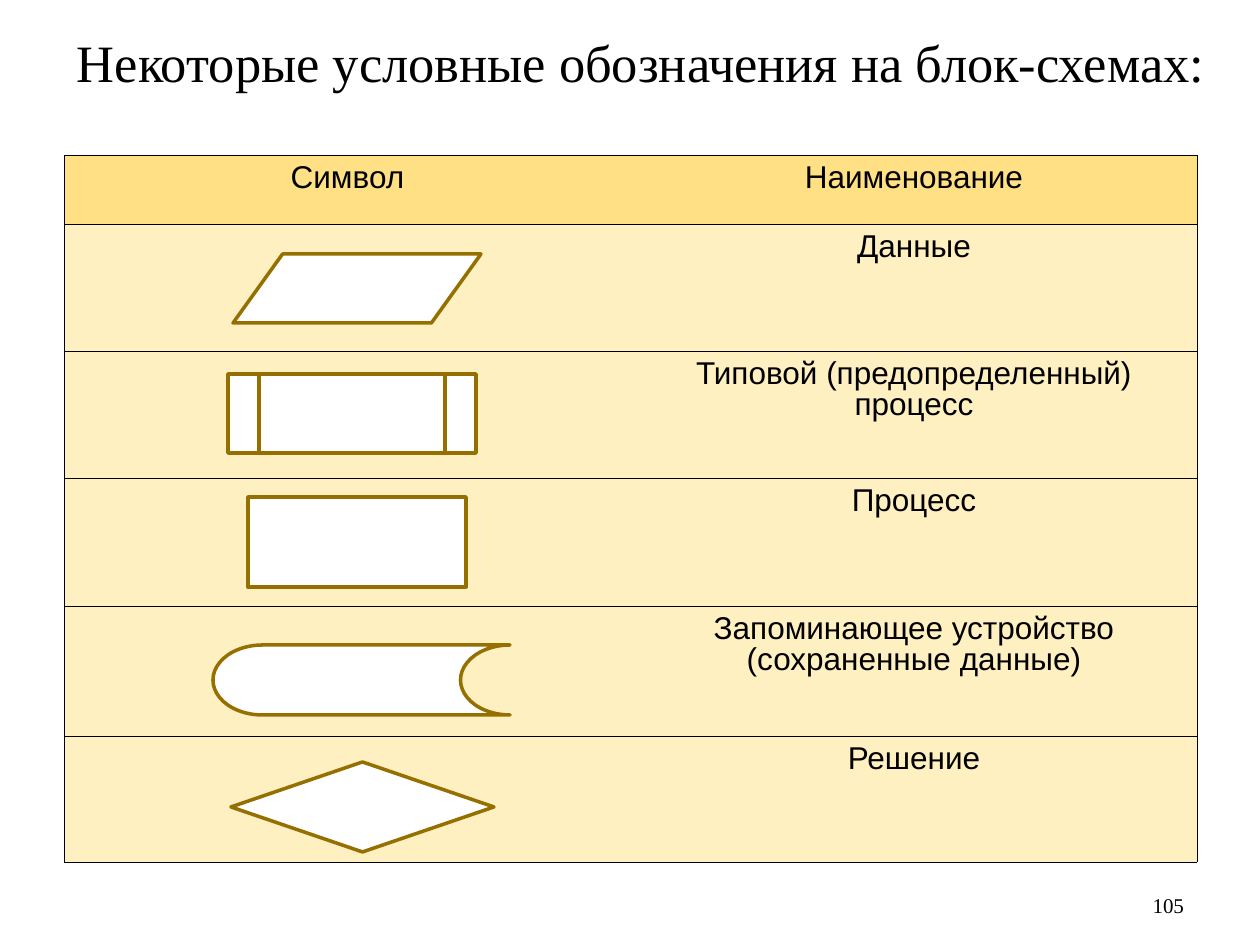
from dataclasses import dataclass
from itertools import accumulate

from lxml.etree import SubElement
from pptx import Presentation
from pptx.dml.color import RGBColor
from pptx.enum.shapes import MSO_SHAPE
from pptx.enum.text import MSO_ANCHOR, PP_ALIGN
from pptx.oxml.ns import qn
from pptx.util import Pt

SCALE = 914400 / 126


@dataclass(frozen=True)
class Theme:
    ink: str = "000000"
    paper: str = "FFFFFF"
    header: str = "FFE085"
    body: str = "FFF0C2"
    outline: str = "956F00"
    serif: str = "Times New Roman"
    sans: str = "Arial"
    title_size: int = 30
    table_size: int = 18
    number_size: int = 12
    outline_width: int = 2
    border_width: float = 0.17


THEME = Theme()
INSETS = {"margin_left": 13, "margin_right": 13, "margin_top": 6, "margin_bottom": 6}
COLUMNS = (567, 566)
ROWS = (
    (69, "Наименование", None, None),
    (127, "Данные", MSO_SHAPE.FLOWCHART_DATA, (169, 30, 248, 69)),
    (127, "Типовой (предопределенный) процесс",
     MSO_SHAPE.FLOWCHART_PREDEFINED_PROCESS, (164, 23, 248, 79)),
    (128, "Процесс", MSO_SHAPE.FLOWCHART_PROCESS, (184, 19, 218, 90)),
    (130, "Запоминающее устройство (сохраненные данные)",
     MSO_SHAPE.FLOWCHART_STORED_DATA, (149, 39, 297, 70)),
    (126, "Решение", MSO_SHAPE.FLOWCHART_DECISION, (167, 26, 263, 90)),
)


def px(length):
    return round(length * SCALE)


def apply(target, values):
    for name, value in values.items():
        setattr(target, name, value)


def set_insets(target, insets):
    apply(target, {name: px(length) for name, length in insets.items()})


def write(frame, text, font, size, align, spacing=1.0):
    para = frame.paragraphs[0]
    apply(para, {"alignment": align, "line_spacing": spacing})
    span = para.add_run()
    span.text = text
    apply(span.font, {"name": font, "size": Pt(size), "bold": False})
    span.font.color.rgb = RGBColor.from_string(THEME.ink)


def place_title(page, box, text):
    title = page.shapes.title
    apply(title, dict(zip(("left", "top", "width", "height"), map(px, box))))
    frame = title.text_frame
    apply(frame, {"word_wrap": True, "vertical_anchor": MSO_ANCHOR.TOP})
    set_insets(frame, INSETS)
    write(frame, text, THEME.serif, THEME.title_size, PP_ALIGN.LEFT)


def place_number(page, box, text):
    frame = page.shapes.add_textbox(*map(px, box)).text_frame
    apply(frame, {"word_wrap": True, "vertical_anchor": MSO_ANCHOR.BOTTOM})
    set_insets(frame, INSETS)
    write(frame, text, THEME.serif, THEME.number_size, PP_ALIGN.RIGHT)


def set_borders(cell, visible):
    properties = cell._tc.get_or_add_tcPr()
    for side in "LRTB":
        line = SubElement(properties, qn(f"a:ln{side}"), w=str(Pt(THEME.border_width)))
        if side in visible:
            fill = SubElement(line, qn("a:solidFill"))
            SubElement(fill, qn("a:srgbClr"), val=THEME.ink)
        else:
            SubElement(line, qn("a:noFill"))


def format_cell(cell, text, color, visible):
    set_borders(cell, visible)
    cell.fill.solid()
    cell.fill.fore_color.rgb = RGBColor.from_string(color)
    set_insets(cell, {**INSETS, "margin_top": 9})
    if text:
        write(cell.text_frame, text, THEME.sans, THEME.table_size, PP_ALIGN.CENTER, 0.87)


def place_symbol(page, box, kind):
    symbol = page.shapes.add_shape(kind, *map(px, box))
    symbol.shadow.inherit = False
    symbol.fill.solid()
    symbol.fill.fore_color.rgb = RGBColor.from_string(THEME.paper)
    symbol.line.color.rgb = RGBColor.from_string(THEME.outline)
    symbol.line.width = Pt(THEME.outline_width)


def place_symbol_table(page, left, top):
    heights = [row[0] for row in ROWS]
    box = (left, top, sum(COLUMNS), sum(heights))
    table = page.shapes.add_table(len(ROWS), len(COLUMNS), *map(px, box)).table
    apply(table, {"first_row": False, "horz_banding": False})
    for column, width in zip(table.columns, COLUMNS):
        column.width = px(width)
    row_tops = accumulate(heights[:-1], initial=top)
    for index, (row_top, (height, name, kind, symbol_box)) in enumerate(zip(row_tops, ROWS)):
        table.rows[index].height = px(height)
        color = THEME.body if kind else THEME.header
        format_cell(table.cell(index, 0), "" if kind else "Символ", color, "LTB")
        format_cell(table.cell(index, 1), name, color, "RTB")
        if kind:
            across, down, *size = symbol_box
            place_symbol(page, (left + across, row_top + down, *size), kind)


def main():
    deck = Presentation()
    apply(deck, {"slide_width": px(1260), "slide_height": px(945)})
    page = deck.slides.add_slide(deck.slide_layouts[5])
    place_title(page, (64, 24, 1216, 158), "Некоторые условные обозначения на блок-схемах:")
    place_symbol_table(page, 64, 155)
    place_number(page, (903, 861, 294, 63), "105")
    deck.save("out.pptx")


if __name__ == "__main__":
    main()
